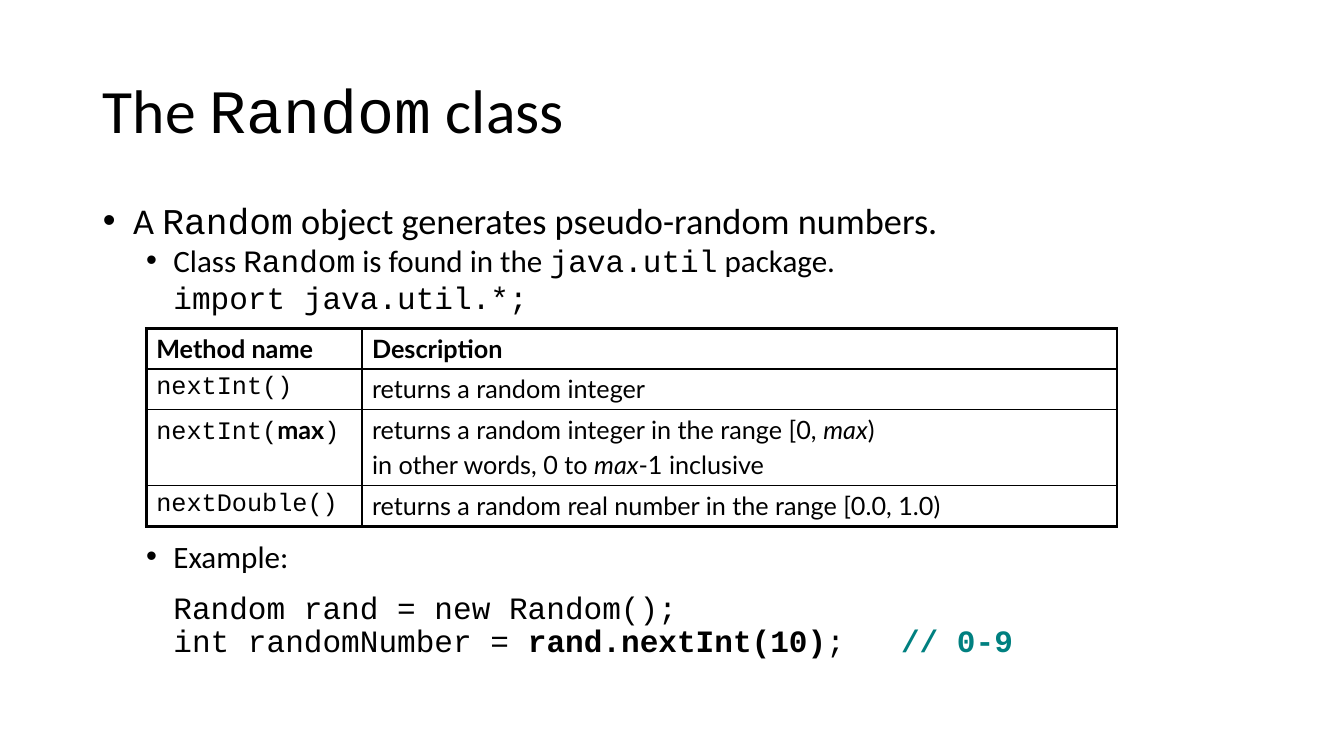
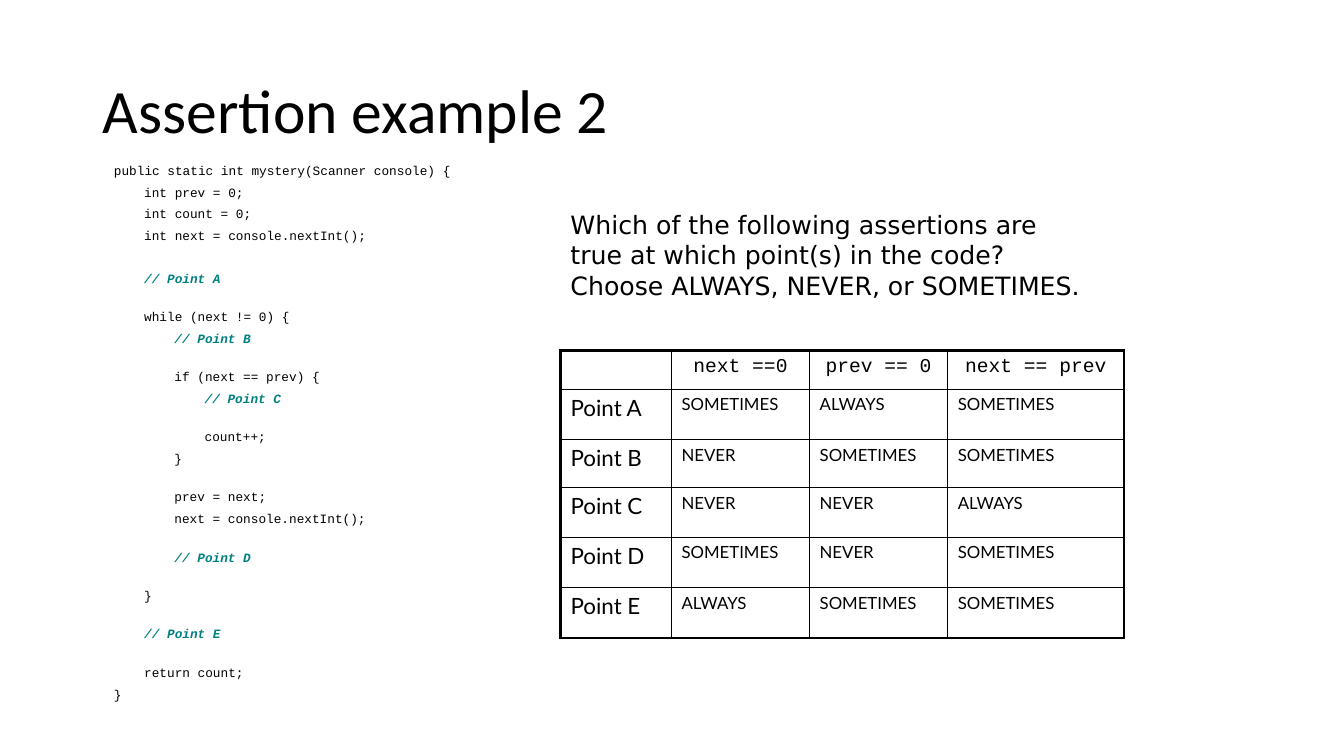
from lxml import etree
from pptx import Presentation, util as u
from pptx.dml.color import RGBColor
from pptx.enum import text as t
from pptx.oxml.ns import qn

BLACK, WHITE, TEAL = "000000", "FFFFFF", "008080"
SANS, MONO, CELL, PROMPT = "Calibri", "Courier New", "Lato", "DejaVu Sans"

# Runs are (text, flags): m monospaced, b bold, i italic, c comment colour
RANDOM_TITLE = [("The ", ""), ("Random", "m"), (" class", "")]
# (bullet level or None for code, points before, line spacing, runs)
RANDOM_BODY = [
    (0, 10, 0.8, [("A ", ""), ("Random", "m"),
                  (" object generates pseudo-random numbers.", "")]),
    (1, 5, 0.8, [("Class ", ""), ("Random", "m"), (" is found in the ", ""),
                 ("java.util", "m"), (" package.", "")]),
    (None, 5, 0.8, [("import java.util.*;", "m")]),
    (1, 164, 0.8, [("Example:", "")]),
    (None, 17, 0.7, [("Random rand = new Random();", "m")]),
    (None, 5, 0.7, [("int randomNumber = ", "m"), ("rand.nextInt(10)", "mb"),
                    (";   ", "m"), ("// 0-9", "mbc")]),
]
# Each cell is a list of paragraphs, each paragraph a list of runs
METHODS = [
    [[[("Method name", "b")]], [[("Description", "b")]]],
    [[[("nextInt()", "m")]], [[("returns a random integer", "")]]],
    [[[("nextInt(", "m"), ("max", "b"), (")", "m")]],
     [[("returns a random integer in the range [0, ", ""), ("max", "i"), (")", "")],
      [("in other words, 0 to ", ""), ("max", "i"), ("-1 inclusive", "")]]],
    [[[("nextDouble()", "m")]],
     [[("returns a random real number in the range [0.0, 1.0)", "")]]],
]

ASSERT_TITLE = [("Assertion example 2", "")]
# (indent depth, points before, code)
LINE, GAP, WIDE_GAP = 10, 22, 25
MYSTERY = [
    (0, LINE, "public static int mystery(Scanner console) {"),
    (1, LINE, "int prev = 0;"),
    (1, LINE, "int count = 0;"),
    (1, LINE, "int next = console.nextInt();"),
    (1, WIDE_GAP, "// Point A"),
    (1, GAP, "while (next != 0) {"),
    (2, LINE, "// Point B"),
    (2, GAP, "if (next == prev) {"),
    (3, LINE, "// Point C"),
    (3, GAP, "count++;"),
    (2, LINE, "}"),
    (2, GAP, "prev = next;"),
    (2, LINE, "next = console.nextInt();"),
    (2, GAP, "// Point D"),
    (1, GAP, "}"),
    (1, GAP, "// Point E"),
    (1, GAP, "return count;"),
    (0, LINE, "}"),
]
QUESTION = ["Which of the following assertions are\vtrue at which point(s) in the code?",
            "Choose ALWAYS, NEVER, or SOMETIMES."]
CONDITIONS = ["", "next ==0", "prev == 0", "next == prev"]
ANSWERS = [
    ("Point A", "SOMETIMES", "ALWAYS", "SOMETIMES"),
    ("Point B", "NEVER", "SOMETIMES", "SOMETIMES"),
    ("Point C", "NEVER", "NEVER", "ALWAYS"),
    ("Point D", "SOMETIMES", "NEVER", "SOMETIMES"),
    ("Point E", "ALWAYS", "SOMETIMES", "SOMETIMES"),
]


def rgb(value):
    return RGBColor.from_string(value)


def box(*lengths):
    return [u.Inches(v) for v in lengths]


def format_run(r, size, font, flags=""):
    r.font.size, r.font.name = u.Pt(size), MONO if "m" in flags else font
    r.font.bold, r.font.italic = "b" in flags, "i" in flags
    r.font.color.rgb = rgb(TEAL if "c" in flags else BLACK)


def add_runs(p, runs, size, font):
    for words, flags in runs:
        r = p.add_run()
        r.text = words
        format_run(r, size, font, flags)


def paragraphs(tf, items):
    """Yield a paragraph of the frame for each item."""
    for n, item in enumerate(items):
        yield (tf.add_paragraph() if n else tf.paragraphs[0]), item


def set_indent(p, margin, hang=0, bullet=None):
    pPr = p._p.get_or_add_pPr()
    pPr.set("marL", str(u.Inches(margin)))
    pPr.set("indent", str(-u.Inches(hang)))
    if bullet:
        etree.SubElement(pPr, qn("a:buFont")).set("typeface", "Arial")
        etree.SubElement(pPr, qn("a:buChar")).set("char", bullet)
    else:
        etree.SubElement(pPr, qn("a:buNone"))


def place(sp, lengths, anchor):
    sp.left, sp.top, sp.width, sp.height = box(*lengths)
    tf = sp.text_frame
    tf.word_wrap, tf.auto_size = True, t.MSO_AUTO_SIZE.NONE
    tf.vertical_anchor = anchor
    return tf


def new_slide(title, body_box):
    """Add a slide with its title; return it with its body text frame."""
    s = prs.slides.add_slide(prs.slide_layouts[1])
    tf = place(s.shapes.title, (0.92, 0.4, 11.5, 1.45), t.MSO_ANCHOR.MIDDLE)
    p = tf.paragraphs[0]
    p.alignment, p.line_spacing = t.PP_ALIGN.LEFT, 0.9
    add_runs(p, title, 44, SANS)
    return s, place(s.placeholders[1], body_box, t.MSO_ANCHOR.TOP)


def set_borders(cell, edges):
    """edges: for left, right, top, bottom, whether it is an outer edge."""
    tcPr = cell._tc.get_or_add_tcPr()
    for n, (side, outer) in enumerate(zip("LRTB", edges)):
        ln = etree.Element(qn("a:ln" + side), w=str(u.Pt(2.25 if outer else 1)))
        fill = etree.SubElement(ln, qn("a:solidFill"))
        etree.SubElement(fill, qn("a:srgbClr")).set("val", BLACK)
        tcPr.insert(n, ln)


def add_grid(s, left, top, widths, heights):
    """Add a white table with a heavy frame and thin inner lines."""
    rows, cols = len(heights), len(widths)
    table = s.shapes.add_table(
        rows, cols, *box(left, top, sum(widths), sum(heights))).table
    table.first_row = table.horz_banding = False
    for col, width in zip(table.columns, widths):
        col.width = u.Inches(width)
    for row, height in zip(table.rows, heights):
        row.height = u.Inches(height)
    for i in range(rows):
        for j in range(cols):
            cell = table.cell(i, j)
            cell.fill.solid()
            cell.fill.fore_color.rgb = rgb(WHITE)
            set_borders(cell, (j == 0, j == cols - 1, i == 0, i == rows - 1))
    return table


def fill_cell(cell, paras, size, align=t.PP_ALIGN.LEFT):
    for p, runs in paragraphs(cell.text_frame, paras):
        p.alignment = align
        before = etree.SubElement(p._p.get_or_add_pPr(), qn("a:spcBef"))
        etree.SubElement(before, qn("a:spcPct")).set("val", "20000")
        add_runs(p, runs, size, CELL)


prs = Presentation()
prs.slide_width, prs.slide_height = box(13.33, 7.5)

# The Random class
s, tf = new_slide(RANDOM_TITLE, (0.92, 2, 11.5, 4.76))
for p, (level, before, spacing, runs) in paragraphs(tf, RANDOM_BODY):
    p.level = 0 if level == 0 else 1
    p.space_before, p.line_spacing = u.Pt(before), spacing
    if level is None:
        set_indent(p, 0.7)
    else:
        set_indent(p, *[(0.3, 0.3), (0.7, 0.27)][level], bullet="\u2022")
    add_runs(p, runs, 25.9 if level == 0 else 22.2, SANS)

table = add_grid(s, 1.45, 3.26, [2.14, 7.49], [0.4, 0.4, 0.76, 0.4])
for i, row in enumerate(METHODS):
    for j, paras in enumerate(row):
        fill_cell(table.cell(i, j), paras, 18)

# Assertion example
s, tf = new_slide(ASSERT_TITLE, (1.03, 1.63, 4.53, 5.63))
for p, (depth, before, code) in paragraphs(tf, MYSTERY):
    p.space_before, p.line_spacing = u.Pt(before), 0.5
    set_indent(p, 0.3 * depth)
    add_runs(p, [(code, "mbic" if code.startswith("//") else "m")], 9.1, SANS)

table = add_grid(s, 5.56, 3.48, [1.1, 1.37, 1.37, 1.75],
                 [0.38, 0.5, 0.48, 0.49, 0.5, 0.5])
for j, words in enumerate(CONDITIONS):
    fill_cell(table.cell(0, j), [[(words, "m")]], 14, t.PP_ALIGN.CENTER)
for i, row in enumerate(ANSWERS, 1):
    for j, words in enumerate(row):
        fill_cell(table.cell(i, j), [[(words, "")]], 12 if j else 16)

tf = place(s.shapes.add_textbox(0, 0, 0, 0), (5.56, 2.03, 5.58, 1), t.MSO_ANCHOR.TOP)
for p, words in paragraphs(tf, QUESTION):
    p.text = words
    for r in p.runs:
        format_run(r, 18, PROMPT)

prs.save("out.pptx")
